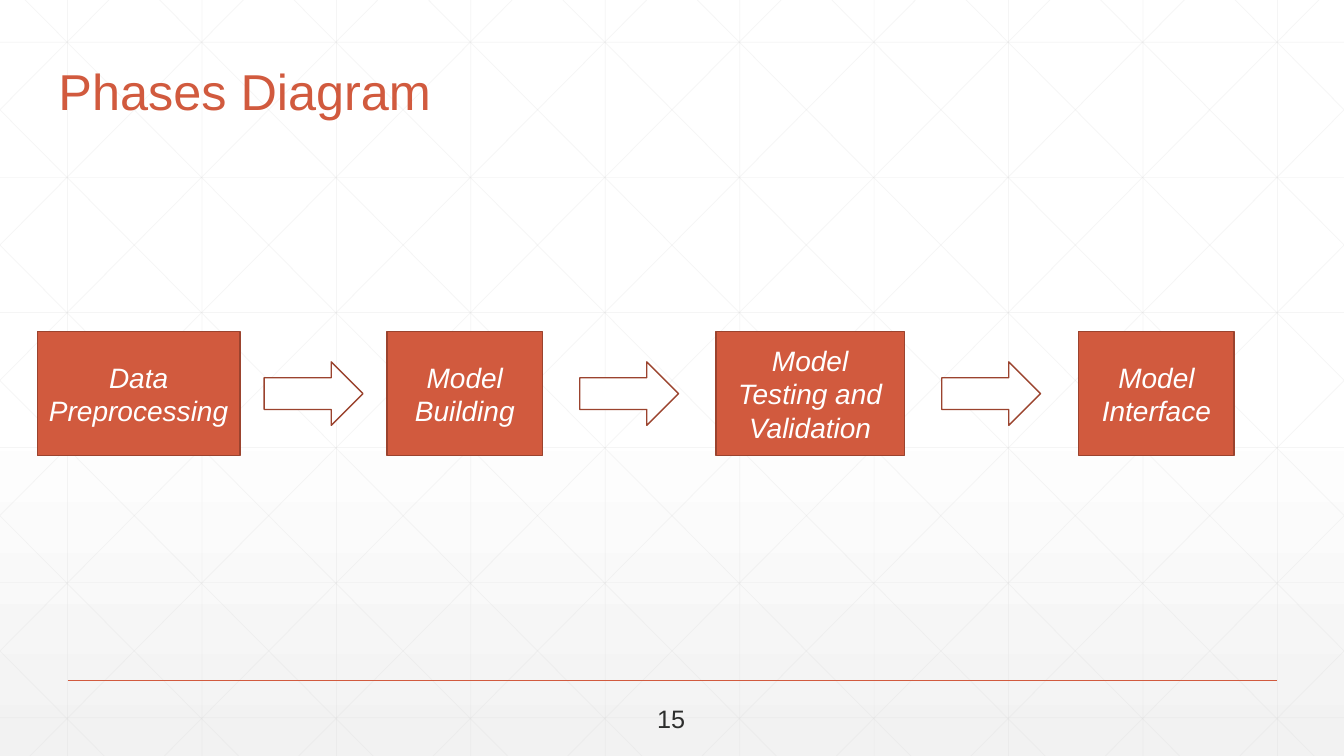
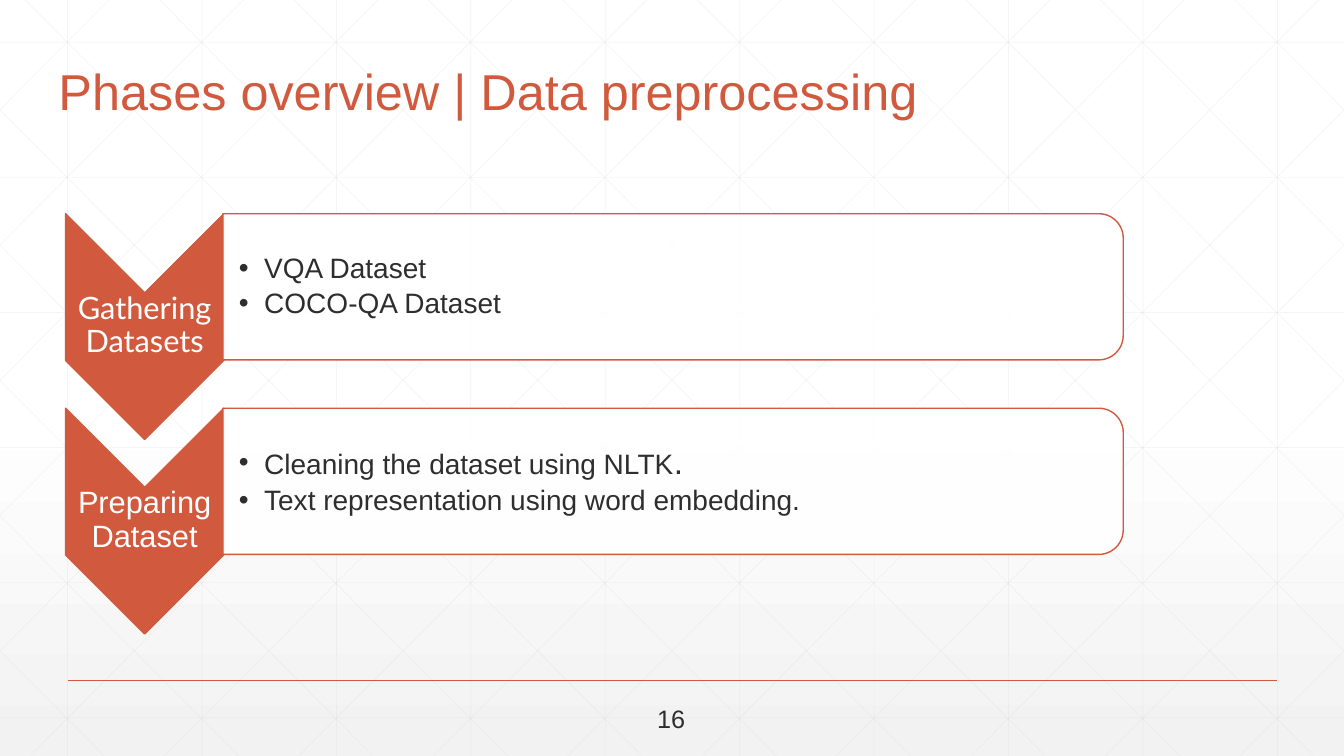
from lxml.etree import SubElement
from pptx import Presentation
from pptx.dml.color import RGBColor
from pptx.enum.shapes import MSO_CONNECTOR, MSO_SHAPE
from pptx.enum.text import MSO_ANCHOR, MSO_AUTO_SIZE, PP_ALIGN
from pptx.oxml.ns import qn
from pptx.util import Inches, Pt

# Shared look
WIDTH, HEIGHT = 13.33, 7.5
ACCENT, OUTLINE, INK, WHITE, GRID = "D15A3E", "9B432E", "2D2E2D", "FFFFFF", "D9D9D9"
FONT = "Arial"
TITLE_ONLY, TWO_CONTENT = 5, 3

# Background grid
PITCH_X, PITCH_Y = 4 / 3, 1.34
DIAGONAL_RUN = 7.45

# Phases: left, width, label
PHASES = [
    (0.37, 2.01, "Data Preprocessing"),
    (3.84, 1.54, "Model Building"),
    (7.1, 1.87, "Model Testing and Validation"),
    (10.7, 1.54, "Model Interface"),
]
ARROW_LEFTS = [2.62, 5.75, 9.34]

# Steps: label, label font, list items made of (text, size) runs
STEPS = [
    ("Gathering Datasets", "Lato", [[("VQA Dataset", 20)], [("COCO-QA Dataset", 20)]]),
    ("Preparing Dataset", FONT, [
        [("Cleaning the dataset using NLTK", 20), (".", 24)],
        [("Text representation using word embedding.", 20)],
    ]),
]
STEP_TOP, STEP_PITCH = 2.12, 1.93


def color(value):
    return RGBColor.from_string(value)


def set_alpha(fill_parent, percent):
    """Make the solid fill below an element partly transparent."""
    rgb = fill_parent.find(qn("a:solidFill")).find(qn("a:srgbClr"))
    SubElement(rgb, qn("a:alpha"), val=str(percent * 1000))


def place(shape, left, top, width, height):
    shape.left, shape.top = Inches(left), Inches(top)
    shape.width, shape.height = Inches(width), Inches(height)


def style_run(run, size, ink, font=FONT, italic=False):
    run.font.size = Pt(size)
    run.font.name = font
    run.font.italic = italic
    run.font.color.rgb = color(ink)


def set_frame(frame, anchor, left=0.1, others=0.05, right=None):
    frame.word_wrap = True
    frame.auto_size = MSO_AUTO_SIZE.NONE
    frame.vertical_anchor = anchor
    frame.margin_left = Inches(left)
    frame.margin_right = Inches(left if right is None else right)
    frame.margin_top = frame.margin_bottom = Inches(others)


def add_line(shapes, start, end, ink, weight, alpha=100):
    points = [Inches(value) for value in (*start, *end)]
    line = shapes.add_connector(MSO_CONNECTOR.STRAIGHT, *points)
    line.line.color.rgb = color(ink)
    line.line.width = Pt(weight)
    properties = line.element.spPr
    if alpha < 100:
        set_alpha(properties.find(qn("a:ln")), alpha)
    SubElement(properties, qn("a:effectLst"))


def add_box(slide, kind, bounds, fill, outline, rotation=0):
    box = slide.shapes.add_shape(kind, *(Inches(value) for value in bounds))
    box.shadow.inherit = False
    box.fill.solid()
    box.fill.fore_color.rgb = color(fill)
    box.line.color.rgb = color(outline)
    box.line.width = Pt(1)
    box.rotation = rotation
    return box


def add_turned_box(slide, kind, bounds, fill):
    """Add a shape turned a quarter clockwise that covers the given bounds."""
    left, top, width, height = bounds
    shift = (width - height) / 2
    turned = (left + shift, top - shift, height, width)
    return add_box(slide, kind, turned, fill, ACCENT, 90)


# Master: gradient, grid and footer rule
def set_background(master):
    fill = master.background.fill
    fill.gradient()
    fill.gradient_angle = 270
    stops = next(master.element.cSld.iter(qn("a:gsLst")))
    for stop in list(stops):
        stops.remove(stop)
    for position, tone in ((0, WHITE), (53, WHITE), (100, "F2F2F2")):
        stop = SubElement(stops, qn("a:gs"), pos=str(position * 1000))
        SubElement(stop, qn("a:srgbClr"), val=tone)


def grid_lines():
    for column in range(10):
        x = 0.67 + column * PITCH_X
        yield (x, 0), (x, HEIGHT)
    for row in range(6):
        y = 0.42 + row * PITCH_Y
        yield (0, y), (WIDTH, y)
    slope = HEIGHT / DIAGONAL_RUN
    for step in range(-5, 10):
        origin = 0.25 + step * PITCH_X
        left, right = max(0, origin), min(WIDTH, origin + DIAGONAL_RUN)
        top, bottom = (left - origin) * slope, (right - origin) * slope
        yield (left, top), (right, bottom)
        yield (WIDTH - left, top), (WIDTH - right, bottom)


def decorate_master(master, slide):
    """Draw the shared lines as one group and move it to the master."""
    set_background(master)
    group = slide.shapes.add_group_shape()
    for start, end in grid_lines():
        add_line(group.shapes, start, end, GRID, 0.5, 25)
    add_line(group.shapes, (0.67, 6.75), (12.67, 6.75), ACCENT, 1)
    for number, item in enumerate(group.element.iter(qn("p:cNvPr")), 101):
        item.set("id", str(number))
    master.element.cSld.spTree.append(group.element)


# Parts that every slide has
def add_title(slide, text):
    title = slide.shapes.title
    place(title, 0.48, 0.53, 10.5, 0.73)
    title.text_frame.text = text
    set_frame(title.text_frame, MSO_ANCHOR.BOTTOM)
    para = title.text_frame.paragraphs[0]
    para.alignment = PP_ALIGN.LEFT
    para.line_spacing = 0.9
    style_run(para.runs[0], 36, ACCENT)


def add_page_number(slide, number):
    box = slide.shapes.add_textbox(Inches(6.42), Inches(6.93), Inches(0.48), Inches(0.4))
    box.text_frame.word_wrap = False
    box.text_frame.text = str(number)
    style_run(box.text_frame.paragraphs[0].runs[0], 18, INK)


# Phase diagram
def add_phase(slide, left, width, label):
    box = add_box(slide, MSO_SHAPE.RECTANGLE, (left, 3.29, width, 1.23), ACCENT, OUTLINE)
    box.text_frame.text = label
    set_frame(box.text_frame, MSO_ANCHOR.MIDDLE)
    para = box.text_frame.paragraphs[0]
    para.alignment = PP_ALIGN.CENTER
    style_run(para.runs[0], 20, WHITE, italic=True)


def fill_phases(slide):
    for phase in PHASES:
        add_phase(slide, *phase)
    for left in ARROW_LEFTS:
        add_box(slide, MSO_SHAPE.RIGHT_ARROW, (left, 3.59, 0.98, 0.63), WHITE, OUTLINE)


# Chevron list
def add_step_label(slide, top, label, font):
    box = slide.shapes.add_textbox(Inches(0.65), Inches(top), Inches(1.57), Inches(0.67))
    box.text_frame.text = label
    set_frame(box.text_frame, MSO_ANCHOR.MIDDLE, 0.02, 0.02)
    para = box.text_frame.paragraphs[0]
    para.alignment = PP_ALIGN.CENTER
    para.line_spacing = 0.9
    style_run(para.runs[0], 22, WHITE, font)


def fill_list(body, top, items):
    place(body, 2.21, top, 8.86, 1.31)
    body.element.getparent().append(body.element)
    frame = body.text_frame
    set_frame(frame, MSO_ANCHOR.MIDDLE, 0.16, 0.01, 0.01)
    for index, item in enumerate(items):
        para = frame.add_paragraph() if index else frame.paragraphs[0]
        para.line_spacing = 0.9
        para.space_before, para.space_after = Pt(0), Pt(3.5)
        properties = para._p.get_or_add_pPr()
        properties.set("marL", str(Inches(0.25)))
        properties.set("indent", str(Inches(-0.25)))
        for text, size in item:
            run = para.add_run()
            run.text = text
            style_run(run, size, INK)


def fill_steps(slide):
    for index, (label, font, items) in enumerate(STEPS):
        top = STEP_TOP + index * STEP_PITCH
        add_turned_box(slide, MSO_SHAPE.CHEVRON, (0.65, top, 1.57, 2.24), ACCENT)
        add_step_label(slide, top + 0.78, label, font)
        panel = add_turned_box(
            slide, MSO_SHAPE.ROUND_2_SAME_RECTANGLE, (2.21, top, 8.93, 1.45), WHITE)
        set_alpha(panel.element.spPr, 90)
        fill_list(slide.placeholders[index + 1], top + 0.07, items)


def add_slide(deck, layout, title, number):
    slide = deck.slides.add_slide(deck.slide_layouts[layout])
    add_title(slide, title)
    add_page_number(slide, number)
    return slide


def main():
    deck = Presentation()
    deck.slide_width, deck.slide_height = Inches(WIDTH), Inches(HEIGHT)

    phases = add_slide(deck, TITLE_ONLY, "Phases Diagram", 15)
    decorate_master(deck.slide_master, phases)
    fill_phases(phases)

    steps = add_slide(deck, TWO_CONTENT, "Phases overview | Data preprocessing", 16)
    fill_steps(steps)

    deck.save("out.pptx")


if __name__ == "__main__":
    main()
